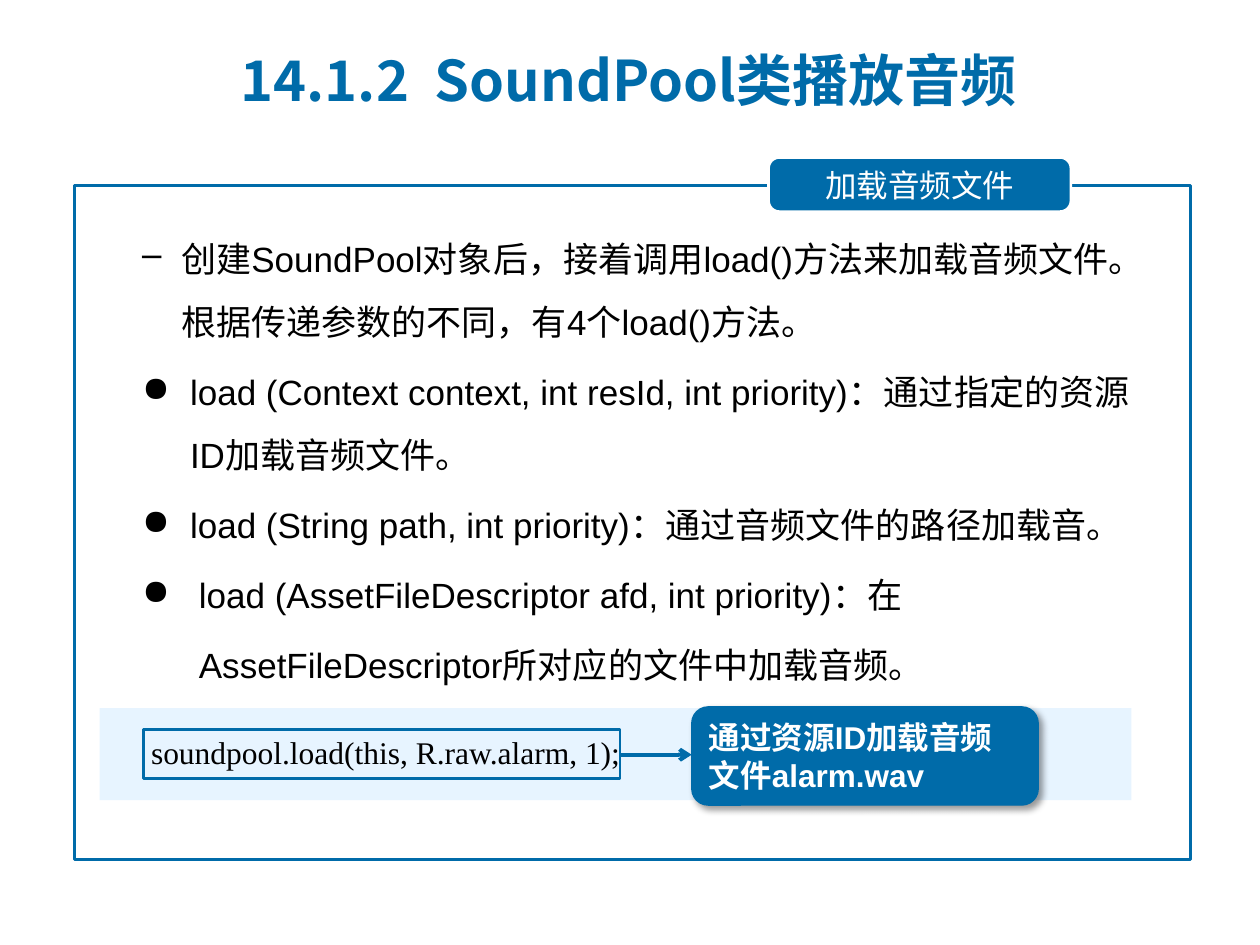
from lxml import etree
from pptx import Presentation
from pptx import util as u
from pptx.dml.color import RGBColor
from pptx.enum import shapes, text
from pptx.oxml import ns

BLUE = RGBColor(0x00, 0x6B, 0xA9)
PALE = RGBColor(0xE7, 0xF4, 0xFF)
WHITE = RGBColor(0xFF, 0xFF, 0xFF)
BLACK = RGBColor(0x00, 0x00, 0x00)
CJK = "Noto Sans CJK SC"
SHAPE = shapes.MSO_SHAPE


def add_run(paragraph, content, font_name, size, color, bold=False):
    run = paragraph.add_run()
    run.text = content
    run.font.name = font_name
    run.font.size = u.Pt(size)
    run.font.color.rgb = color
    run.font.bold = bold
    properties = run._r.get_or_add_rPr()
    etree.SubElement(properties, ns.qn("a:ea"), typeface=CJK)


def add_box(kind, box, fill=None, line=None, width=1.5):
    shape = slide.shapes.add_shape(kind, *map(u.Inches, box))
    shape.shadow.inherit = False
    if fill is None:
        shape.fill.background()
    else:
        shape.fill.solid()
        shape.fill.fore_color.rgb = fill
    if line is None:
        shape.line.fill.background()
    else:
        shape.line.color.rgb = line
        shape.line.width = u.Pt(width)
    shape.text_frame.word_wrap = True
    shape.text_frame.paragraphs[0].alignment = text.PP_ALIGN.LEFT
    return shape


presentation = Presentation()
presentation.slide_width = u.Inches(10)
presentation.slide_height = u.Inches(7.5)
slide = presentation.slides.add_slide(presentation.slide_layouts[5])

title = slide.shapes.title
title.left, title.top = u.Inches(1.81), u.Inches(0.21)
title.width, title.height = u.Inches(7.64), u.Inches(0.84)
title.text_frame.vertical_anchor = text.MSO_ANCHOR.MIDDLE
title.text_frame.paragraphs[0].alignment = text.PP_ALIGN.LEFT
add_run(title.text_frame.paragraphs[0], "14.1.2  SoundPool类播放音频", CJK, 32, BLUE, True)

add_box(SHAPE.RECTANGLE, (0.59, 1.47, 8.86, 5.35), line=BLUE)

tag = add_box(SHAPE.ROUNDED_RECTANGLE, (6.1, 1.25, 2.4, 0.43), BLUE, WHITE)
tag.adjustments[0] = 0.2
tag.text_frame.margin_top = tag.text_frame.margin_bottom = u.Inches(0.06)
tag.text_frame.vertical_anchor = text.MSO_ANCHOR.MIDDLE
tag.text_frame.paragraphs[0].alignment = text.PP_ALIGN.CENTER
add_run(tag.text_frame.paragraphs[0], "加载音频文件", CJK, 18, WHITE)

body = slide.shapes.add_textbox(u.Inches(0.53), u.Inches(1.67), u.Inches(8.72), u.Inches(1.17))
body.text_frame.word_wrap = True
items = [
    ("–", 0.81, -0.31, "创建SoundPool对象后，接着调用load()方法来加载音频文件。根据传递参数的不同，有4个load()方法。"),
    ("●", 0.88, -0.38, "load (Context context, int resId, int priority)：通过指定的资源ID加载音频文件。"),
    ("●", 0.88, -0.38, "load (String path, int priority)：通过音频文件的路径加载音。"),
    ("●", 0.95, -0.45, "load (AssetFileDescriptor afd, int priority)：在"),
    (None, 0.95, 0, "AssetFileDescriptor所对应的文件中加载音频。"),
]
for index, (bullet, margin, indent, content) in enumerate(items):
    paragraph = body.text_frame.add_paragraph() if index else body.text_frame.paragraphs[0]
    paragraph.level = 1
    paragraph.line_spacing = 1.5
    paragraph.space_before = u.Pt(4)
    properties = paragraph._p.get_or_add_pPr()
    properties.set("marL", str(u.Inches(margin)))
    properties.set("indent", str(u.Inches(indent)))
    if bullet:
        etree.SubElement(properties, ns.qn("a:buChar"), char=bullet)
    add_run(paragraph, content, "Arial", 20, BLACK)

band = add_box(SHAPE.RECTANGLE, (0.79, 5.62, 8.19, 0.73), PALE)
band.text_frame.vertical_anchor = text.MSO_ANCHOR.TOP
code = band.text_frame.paragraphs[0]
code.line_spacing = 1.5
code._p.get_or_add_pPr().set("marL", str(u.Inches(0.31)))
add_run(code, "soundpool.load(this, R.raw.alarm, 1);", "Times New Roman", 18, BLACK)

add_box(SHAPE.RECTANGLE, (1.14, 5.79, 3.78, 0.39), line=BLUE)

callout = add_box(SHAPE.ROUNDED_RECTANGLE, (5.49, 5.61, 2.75, 0.78), BLUE, BLUE, 0.75)
callout.text_frame.vertical_anchor = text.MSO_ANCHOR.MIDDLE
add_run(callout.text_frame.paragraphs[0], "通过资源ID加载音频文件alarm.wav", "Arial", 18, WHITE, True)
effects = callout._element.spPr.find(ns.qn("a:effectLst"))
shadow = etree.SubElement(effects, ns.qn("a:outerShdw"), blurRad=str(u.Pt(4)),
                          dist=str(u.Pt(3)), dir="2700000", algn="tl", rotWithShape="0")
shadow_color = etree.SubElement(shadow, ns.qn("a:srgbClr"), val=str(BLACK))
etree.SubElement(shadow_color, ns.qn("a:alpha"), val="40000")

arrow = slide.shapes.add_connector(shapes.MSO_CONNECTOR.STRAIGHT, u.Inches(4.92), u.Inches(5.99),
                                   u.Inches(5.49), u.Inches(5.99))
arrow.line.color.rgb = BLUE
arrow.line.width = u.Pt(2.25)
etree.SubElement(arrow.line._get_or_add_ln(), ns.qn("a:tailEnd"), type="arrow")
etree.SubElement(arrow._element.spPr, ns.qn("a:effectLst"))

presentation.save("out.pptx")
